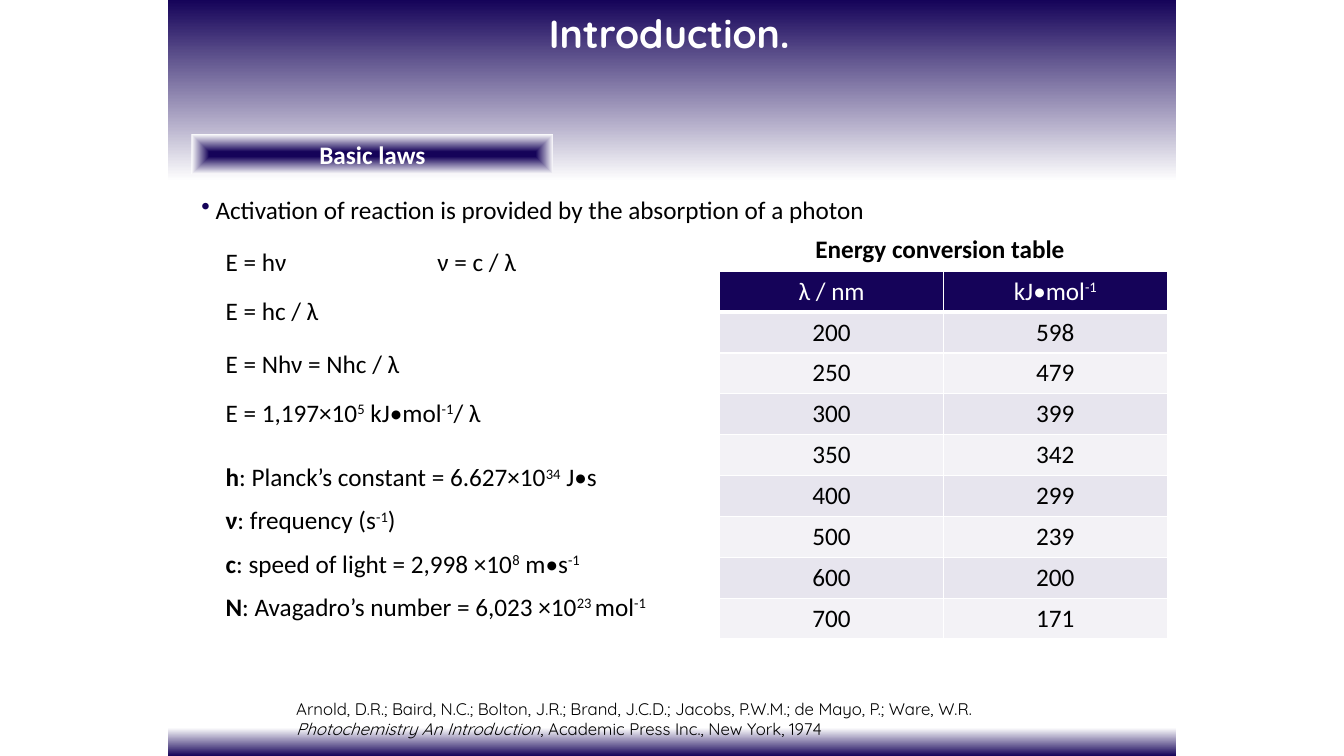
from lxml.etree import SubElement
from pptx import Presentation
from pptx.dml.color import RGBColor
from pptx.enum.shapes import MSO_SHAPE
from pptx.enum.text import MSO_ANCHOR, PP_ALIGN
from pptx.oxml.ns import qn
from pptx.util import Inches, Pt

NAVY = RGBColor(0x15, 0x03, 0x59)
WHITE = RGBColor(0xFF, 0xFF, 0xFF)
BLACK = RGBColor(0x00, 0x00, 0x00)
BODY, DISPLAY = "Calibri", "Quicksand"
SLIDE_WIDTH, SLIDE_HEIGHT = Inches(13.333), Inches(7.5)
FORMULA_LEFT, LINE_HEIGHT = 16.05, 5.33
WAVELENGTH_ENERGY = [(200, 598), (250, 479), (300, 399), (350, 342),
                     (400, 299), (500, 239), (600, 200), (700, 171)]
FORMULAS = [
    (FORMULA_LEFT, 31.87, 10.58, ["E = hν"]),
    (31.8, 31.87, 10.58, ["ν = c / λ"]),
    (FORMULA_LEFT, 38.4, 15.23, ["E = hc / λ"]),
    (FORMULA_LEFT, 45.47, 15.23, ["E = Nhν = Nhc / λ"]),
    (FORMULA_LEFT, 51.87, 24.6,
     ["E = 1,197×10", ("5", "sup"), " kJ•mol", ("-1", "sup"), "/ λ"]),
]
CONSTANTS = [
    [("h", "bold"), ": Planck’s constant = 6.627×10", ("34", "sup"), " J•s"],
    [("ν", "bold"), ": frequency (s", ("-1", "sup"), ")"],
    [("c", "bold"), ": speed of light = 2,998 ×10", ("8", "sup"), " m•s", ("-1", "sup")],
    [("N", "bold"), ": Avagadro’s number = 6,023 ×10", ("23 ", "sup"), "mol", ("-1", "sup")],
]
CITATION = [
    "Arnold, D.R.; Baird, N.C.; Bolton, J.R.; Brand, J.C.D.; Jacobs, P.W.M.; de Mayo, P.; Ware, W.R. ",
    ("Photochemistry An Introduction", "italic"),
    ", Academic Press Inc., New York, 1974",
]


def area(left, top, width, height):
    return (round(SLIDE_WIDTH * left / 100), round(SLIDE_HEIGHT * top / 100),
            round(SLIDE_WIDTH * width / 100), round(SLIDE_HEIGHT * height / 100))


def write(paragraph, parts, size=18, color=BLACK, face=BODY, bold=None, align=PP_ALIGN.JUSTIFY):
    paragraph.alignment = align
    font = paragraph.font
    font.size, font.name, font.bold = Pt(size), face, bold
    font.color.rgb = color
    for part in parts:
        words, style = (part, None) if isinstance(part, str) else part
        run = paragraph.add_run()
        run.text = words
        if style == "sup":
            run._r.get_or_add_rPr().set("baseline", "30000")
        elif style == "bold":
            run.font.bold = True
        elif style == "italic":
            run.font.italic = True


def add_text(slide, place, lines, gap=0, **style):
    frame = slide.shapes.add_textbox(*area(*place)).text_frame
    frame.word_wrap = True
    for index, parts in enumerate(lines):
        paragraph = frame.add_paragraph() if index else frame.paragraphs[0]
        if index:
            paragraph.space_before = Pt(gap)
        write(paragraph, parts, **style)


def add_band(slide, place, start, end, start_at=0.0):
    band = slide.shapes.add_shape(MSO_SHAPE.RECTANGLE, *area(*place))
    band.shadow.inherit = False
    band.line.fill.background()
    band.fill.gradient()
    band.fill.gradient_angle = 270
    for stop, color, position in zip(band.fill.gradient_stops, (start, end), (start_at, 1.0)):
        stop.color.rgb = color
        stop.position = position
    return band


def add_badge(slide, place, label):
    badge = add_band(slide, place, NAVY, WHITE, 0.12)
    gradient = badge._element.spPr.find(qn("a:gradFill"))
    gradient.remove(gradient.find(qn("a:lin")))
    burst = SubElement(gradient, qn("a:path"), {"path": "shape"})
    SubElement(burst, qn("a:fillToRect"), {side: "50000" for side in "ltrb"})
    badge.text_frame.vertical_anchor = MSO_ANCHOR.MIDDLE
    write(badge.text_frame.paragraphs[0], [label], color=WHITE, bold=True, align=PP_ALIGN.CENTER)


def add_bullet(slide, place, statement):
    frame = slide.shapes.add_textbox(*area(*place)).text_frame
    frame.word_wrap = True
    paragraph = frame.paragraphs[0]
    hang = round(SLIDE_WIDTH * 1.05 / 100)
    properties = paragraph._p.get_or_add_pPr()
    properties.set("marL", str(hang))
    properties.set("indent", str(-hang))
    tint = SubElement(properties, qn("a:buClr"))
    SubElement(tint, qn("a:srgbClr"), {"val": str(NAVY)})
    SubElement(properties, qn("a:buChar"), {"char": "•"})
    write(paragraph, [statement])


def style_cell(cell, opacity, bottom_width):
    properties = cell._tc.get_or_add_tcPr()
    for side, width in (("L", 1), ("R", 1), ("T", 1), ("B", bottom_width)):
        border = SubElement(properties, qn(f"a:ln{side}"), {"w": str(Pt(width))})
        paint = SubElement(border, qn("a:solidFill"))
        SubElement(paint, qn("a:srgbClr"), {"val": str(WHITE)})
    cell.fill.solid()
    cell.fill.fore_color.rgb = NAVY
    if opacity < 100:
        tone = properties.find(qn("a:solidFill")).find(qn("a:srgbClr"))
        SubElement(tone, qn("a:alpha"), {"val": str(opacity * 1000)})


def add_energy_table(slide, place):
    header = (["λ / nm"], ["kJ•mol", ("-1", "sup")])
    rows = [header] + [([str(nm)], [str(energy)]) for nm, energy in WAVELENGTH_ENERGY]
    table = slide.shapes.add_table(len(rows), len(header), *area(*place)).table
    table.first_row = table.horz_banding = False
    for row, entries in enumerate(rows):
        opacity = 100 if row == 0 else 10 if row % 2 else 5
        for column, parts in enumerate(entries):
            cell = table.cell(row, column)
            style_cell(cell, opacity, 1 if row else 3)
            write(cell.text_frame.paragraphs[0], parts,
                  color=BLACK if row else WHITE, align=PP_ALIGN.CENTER)


def main():
    deck = Presentation()
    deck.slide_width, deck.slide_height = SLIDE_WIDTH, SLIDE_HEIGHT
    slide = deck.slides.add_slide(deck.slide_layouts[6])
    add_band(slide, (12.5, 0, 75, 24), NAVY, WHITE)
    add_band(slide, (12.5, 96.27, 75, 3.73), WHITE, NAVY)
    add_text(slide, (13.05, 0.53, 73.5, 13.07), [["Introduction."]], size=28, color=WHITE,
             face=DISPLAY, bold=True, align=PP_ALIGN.CENTER)
    add_badge(slide, (14.25, 17.73, 26.93, LINE_HEIGHT), "Basic laws")
    add_bullet(slide, (14.25, 25.07, 71.18, LINE_HEIGHT),
               "Activation of reaction is provided by the absorption of a photon")
    for left, top, width, formula in FORMULAS:
        add_text(slide, (left, top, width, LINE_HEIGHT), [formula])
    add_text(slide, (59.93, 30.27, 21.08, LINE_HEIGHT), [["Energy conversion table"]], bold=True)
    add_energy_table(slide, (53.55, 35.87, 33.3, 48.67))
    add_text(slide, (FORMULA_LEFT, 60.4, 34.58, 22.93), CONSTANTS, gap=9.3)
    add_text(slide, (21.3, 91.73, 56.85, 6.8), [CITATION], size=12, face=DISPLAY,
             align=PP_ALIGN.LEFT)
    deck.save("out.pptx")


if __name__ == "__main__":
    main()
